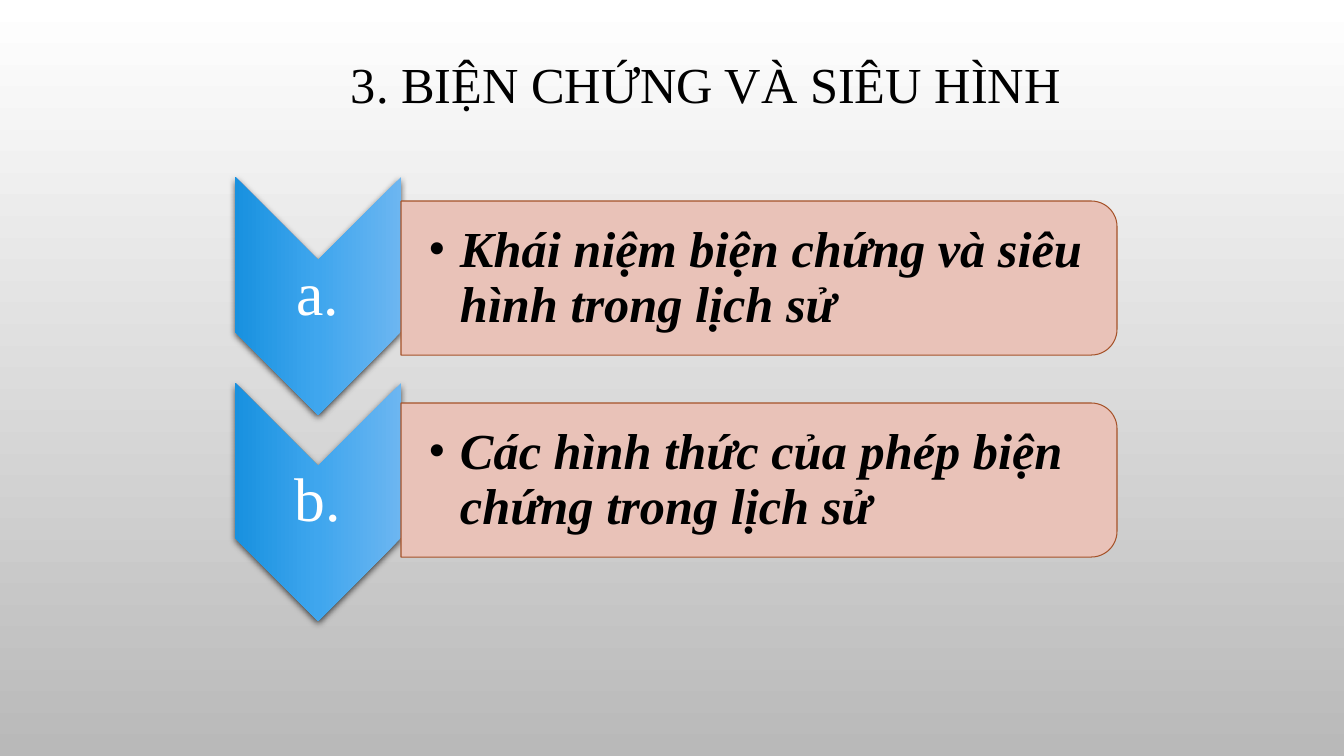
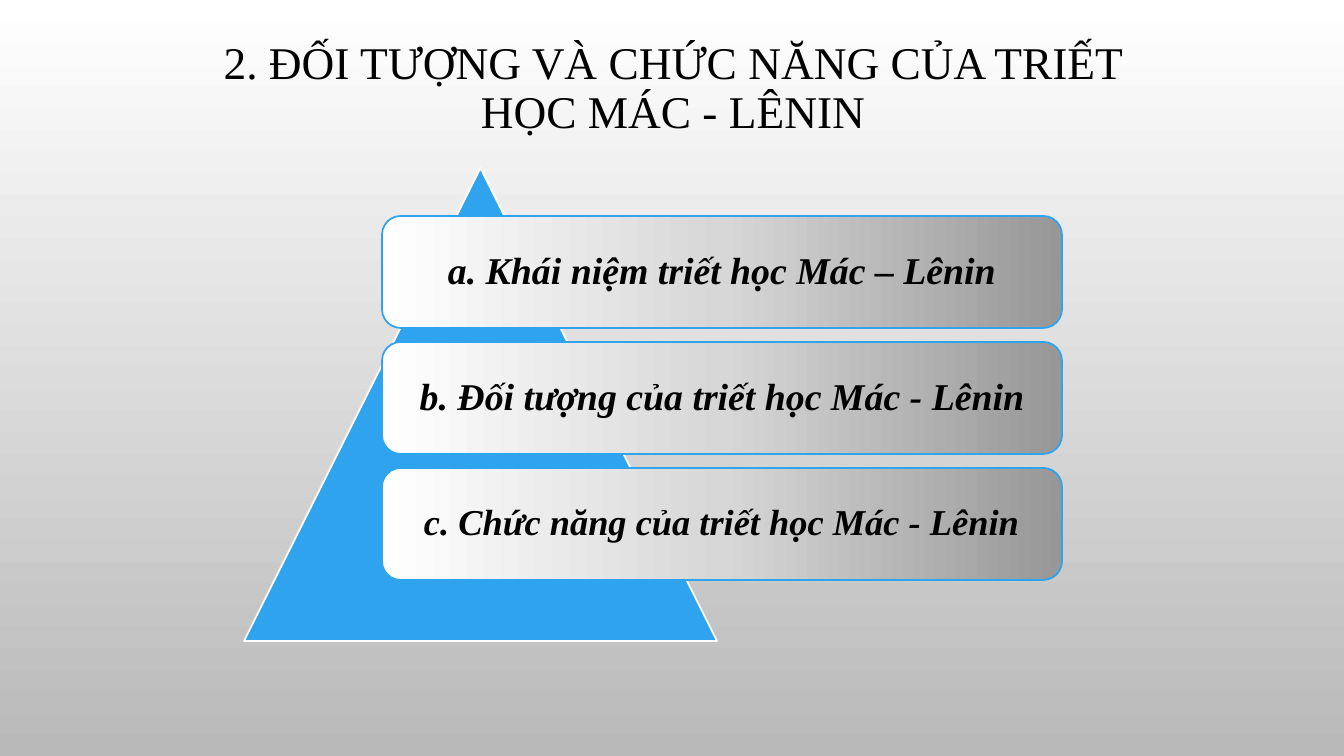
"""Build two philosophy outline slides: a chevron list and a pyramid list."""
from copy import deepcopy

from lxml.etree import SubElement
from pptx import Presentation
from pptx.dml.color import RGBColor
from pptx.enum.shapes import MSO_SHAPE
from pptx.enum.text import MSO_ANCHOR, MSO_AUTO_SIZE, PP_ALIGN
from pptx.oxml.ns import qn
from pptx.util import Pt

PX = 914400 / 100.8
FONT = "Times New Roman"
BLACK = RGBColor(0x00, 0x00, 0x00)
WHITE = RGBColor(0xFF, 0xFF, 0xFF)
SILVER = RGBColor(0xB9, 0xB9, 0xB9)
BLUE = RGBColor(0x2F, 0xA3, 0xEE)
PINK = RGBColor(0xE9, 0xC2, 0xB8)
BROWN = RGBColor(0xA5, 0x52, 0x29)
BACKDROP = [WHITE, SILVER]
BLUES = [RGBColor(0x6C, 0xB6, 0xF1), RGBColor(0x3F, 0xA6, 0xEE), RGBColor(0x18, 0x91, 0xDF)]
GREYS = [RGBColor(0x97, 0x97, 0x97), RGBColor(0xD7, 0xD7, 0xD7), WHITE]

CHEVRON_TITLE = ("3. BIỆN CHỨNG VÀ SIÊU HÌNH", (202, 33, 1008, 109), 36)
CHEVRON_ITEMS = [
    ("a.", "Khái niệm biện chứng và siêu hình trong lịch sử"),
    ("b.", "Các hình thức của phép biện chứng trong lịch sử"),
]
PYRAMID_TITLE = ("2. ĐỐI TƯỢNG VÀ CHỨC NĂNG CỦA TRIẾT HỌC MÁC - LÊNIN", (194, 35, 958, 109), 32.4)
PYRAMID_ITEMS = [
    ("a. Khái niệm triết học Mác – Lênin", 27),
    ("b. Đối tượng của triết học Mác - Lênin", 27),
    ("c. Chức năng của triết học Mác - Lênin", 26),
]


def px(*lengths):
    return [round(n * PX) for n in lengths]


def set_gradient(fill, element, colors, angle):
    fill.gradient()
    fill.gradient_angle = (360 - angle) % 360
    stops = element.find(".//" + qn("a:gsLst"))
    while len(stops) < len(colors):
        stops.append(deepcopy(stops[0]))
    for i, (stop, color) in enumerate(zip(fill.gradient_stops, colors)):
        stop.color.rgb = color
        stop.position = i / (len(colors) - 1)


def add_bullet(p, indent):
    pPr = p._p.get_or_add_pPr()
    pPr.set("marL", str(indent))
    pPr.set("indent", str(-indent))
    SubElement(pPr, qn("a:buFont"), typeface=FONT)
    SubElement(pPr, qn("a:buChar"), char="•")


def put_text(sp, text, size, color=BLACK, strong=False, align=PP_ALIGN.CENTER,
             insets=(10, 5, 10, 5), bullet=0):
    tf = sp.text_frame
    tf.word_wrap = True
    tf.auto_size = MSO_AUTO_SIZE.NONE
    tf.vertical_anchor = MSO_ANCHOR.MIDDLE
    tf.margin_left, tf.margin_top, tf.margin_right, tf.margin_bottom = px(*insets)
    p = tf.paragraphs[0]
    p.alignment = align
    p.line_spacing = 0.9
    if bullet:
        add_bullet(p, px(bullet)[0])
    r = p.add_run()
    r.text = text
    r.font.name = FONT
    r.font.size = Pt(size)
    r.font.bold = r.font.italic = strong
    r.font.color.rgb = color


def add_box(s, kind, box, fill, angle=0, line=None, width=1.25, rotation=0):
    sp = s.shapes.add_shape(kind, *px(*box))
    sp.shadow.inherit = False
    sp.rotation = rotation
    if isinstance(fill, list):
        set_gradient(sp.fill, sp._element, fill, angle)
    else:
        sp.fill.solid()
        sp.fill.fore_color.rgb = fill
    if line is None:
        sp.line.fill.background()
    else:
        sp.line.color.rgb = line
        sp.line.width = Pt(width)
    return sp


def add_turned(s, kind, box, fill, **style):
    x, y, w, h = box
    turned = (x + (w - h) / 2, y + (h - w) / 2, h, w)
    return add_box(s, kind, turned, fill, rotation=90, **style)


def add_shadow(sp):
    effects = sp._element.spPr.find(qn("a:effectLst"))
    shadow = SubElement(effects, qn("a:outerShdw"), blurRad=str(Pt(5)), dist=str(Pt(2)),
                        dir="5400000", rotWithShape="0")
    color = SubElement(shadow, qn("a:srgbClr"), val=str(BLACK))
    SubElement(color, qn("a:alpha"), val="69000")


def add_slide(prs, title, box, size):
    s = prs.slides.add_slide(prs.slide_layouts[5])
    sp = s.shapes.title
    sp.left, sp.top, sp.width, sp.height = px(*box)
    put_text(sp, title, size)
    return s


def build_chevrons(prs):
    s = add_slide(prs, *CHEVRON_TITLE)
    for i, (label, text) in enumerate(CHEVRON_ITEMS):
        top = 177 + 206 * i
        chevron = add_turned(s, MSO_SHAPE.CHEVRON, (235, top, 166, 238), BLUES, angle=90)
        add_shadow(chevron)
        tag = s.shapes.add_textbox(*px(235, top + 83, 166, 72))
        put_text(tag, label, 44, WHITE, insets=(3, 3, 3, 3))
        top = 201 + 202 * i
        add_turned(s, MSO_SHAPE.ROUND_2_SAME_RECTANGLE, (401, top, 716, 154), PINK,
                   line=BROWN, width=0.75)
        body = s.shapes.add_textbox(*px(401, top + 8, 709, 139))
        put_text(body, text, 36, strong=True, align=PP_ALIGN.LEFT,
                 insets=(28, 3, 3, 3), bullet=31)


def build_pyramid(prs):
    s = add_slide(prs, *PYRAMID_TITLE)
    add_box(s, MSO_SHAPE.ISOSCELES_TRIANGLE, (244, 168, 473, 473), BLUE, line=WHITE)
    for i, (text, size) in enumerate(PYRAMID_ITEMS):
        bar = add_box(s, MSO_SHAPE.ROUNDED_RECTANGLE, (382, 216 + 126 * i, 680, 112),
                      GREYS, angle=180, line=BLUE)
        put_text(bar, text, size, strong=True, insets=(11, 11, 11, 11))


def main():
    prs = Presentation()
    prs.slide_width, prs.slide_height = px(1344, 756)
    master = prs.slide_master
    set_gradient(master.background.fill, master._element, BACKDROP, 90)
    build_chevrons(prs)
    build_pyramid(prs)
    prs.save("out.pptx")


if __name__ == "__main__":
    main()
